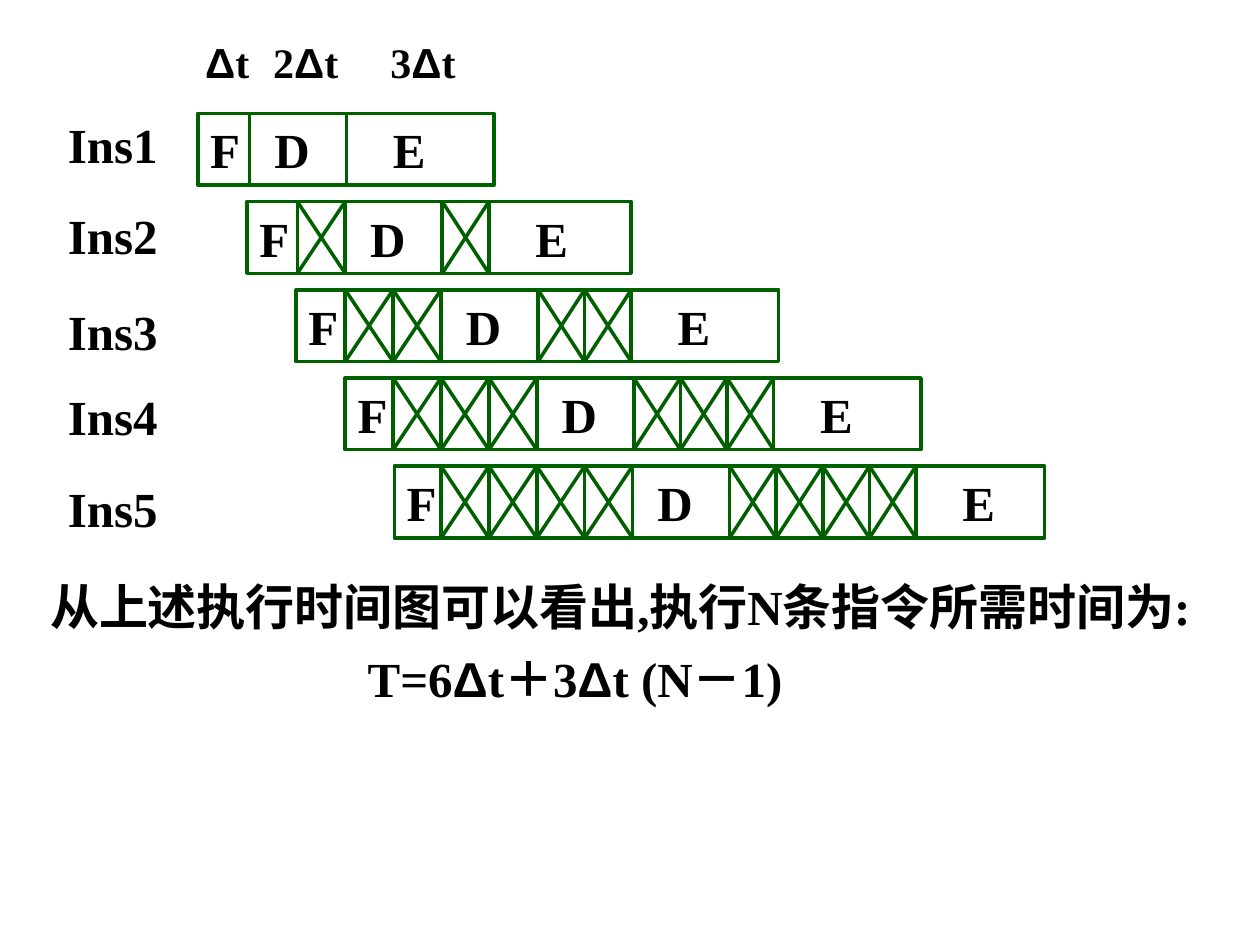
from pptx import Presentation
from pptx.dml.color import RGBColor
from pptx.enum.shapes import MSO_CONNECTOR, MSO_SHAPE
from pptx.enum.text import MSO_ANCHOR
from pptx.oxml.ns import qn
from pptx.util import Inches, Pt
from lxml.etree import SubElement

GREEN = RGBColor(0x00, 0x60, 0x00)
WHITE = RGBColor(0xFF, 0xFF, 0xFF)
BLACK = RGBColor(0x00, 0x00, 0x00)

BAR_HEIGHT = 0.57
INSET = 0.1


def write(paragraph, text, size, stops=()):
    """Fill a paragraph, with each Δ in Arial and tab stops in inches."""
    for piece in text.replace("Δ", "|Δ|").split("|"):
        if not piece:
            continue
        run = paragraph.add_run()
        run.text = piece
        style = {
            "name": "Arial" if piece == "Δ" else "Times New Roman",
            "size": Pt(size),
            "bold": True,
        }
        for attribute, value in style.items():
            setattr(run.font, attribute, value)
        run.font.color.rgb = BLACK
    if stops:
        tab_list = SubElement(paragraph._p.get_or_add_pPr(), qn("a:tabLst"))
        for stop in stops:
            SubElement(tab_list, qn("a:tab"), pos=str(Inches(stop)), algn="l")


def draw_line(x1, y1, x2, y2):
    line = slide.shapes.add_connector(
        MSO_CONNECTOR.STRAIGHT, Inches(x1), Inches(y1), Inches(x2), Inches(y2))
    line.line.color.rgb = GREEN
    line.line.width = Pt(2)
    SubElement(line._element.spPr, qn("a:effectLst"))


presentation = Presentation()
presentation.slide_width = Inches(10)
presentation.slide_height = Inches(7.5)
slide = presentation.slides.add_slide(presentation.slide_layouts[6])

# Conclusion and formula
conclusion = slide.shapes.add_textbox(
    Inches(0.3), Inches(4.53), Inches(9.43), Inches(1.6)).text_frame
conclusion.word_wrap = True
write(conclusion.paragraphs[0], "从上述执行时间图可以看出,执行N条指令所需时间为:", 28)
formula = conclusion.add_paragraph()
formula.space_before = Pt(7)
formula._p.get_or_add_pPr().set("marL", str(Inches(2.52)))
write(formula, "T=6Δt＋3Δt (N－1)", 28)

# Stage durations
durations = slide.shapes.add_textbox(
    Inches(1.53), Inches(0.24), Inches(2.42), Inches(0.58)).text_frame
durations.word_wrap = True
write(durations.paragraphs[0], "Δt\t2Δt\t3Δt", 24, (0.54, 1.47))

# Each instruction waits one more slot before decode and before execute
bar_widths = [2.35, 3.05, 3.83, 4.57, 5.16]
label_tops = [0.86, 1.58, 2.34, 3.02, 3.75]
for stalls, (bar_width, label_top) in enumerate(zip(bar_widths, label_tops)):
    left = 1.57 + 0.39 * stalls
    top = 0.9 + 0.7 * stalls
    bottom = top + BAR_HEIGHT
    fetch_end = 1.98 + 0.38 * stalls
    decode_start = 1.98 + 0.76 * stalls
    decode_end = 2.75 + 0.76 * stalls
    execute_start = 2.75 + 1.13 * stalls

    bar = slide.shapes.add_shape(
        MSO_SHAPE.RECTANGLE, Inches(left), Inches(top),
        Inches(bar_width), Inches(BAR_HEIGHT))
    bar.shadow.inherit = False
    bar.fill.solid()
    bar.fill.fore_color.rgb = WHITE
    bar.line.color.rgb = GREEN
    bar.line.width = Pt(2)
    stages = bar.text_frame
    stages.vertical_anchor = MSO_ANCHOR.MIDDLE
    text_left = left + INSET
    write(stages.paragraphs[0], "F\tD\tE", 28,
          (decode_start + 0.2 - text_left, execute_start + 0.37 - text_left))
    stages.paragraphs[0]._p.get_or_add_pPr().set("algn", "l")

    for wait_start, slot in ((fetch_end, 0.38), (decode_end, 0.37)):
        for k in range(stalls + 1):
            x = wait_start + k * slot
            draw_line(x, top, x, bottom)
            if k < stalls:
                draw_line(x, top, x + slot, bottom)
                draw_line(x + slot, top, x, bottom)

    label = slide.shapes.add_textbox(
        Inches(0.44), Inches(label_top), Inches(1.27), Inches(0.57)).text_frame
    label.word_wrap = True
    label.vertical_anchor = MSO_ANCHOR.MIDDLE
    write(label.paragraphs[0], f"Ins{stalls + 1}", 28)

presentation.save("out.pptx")
